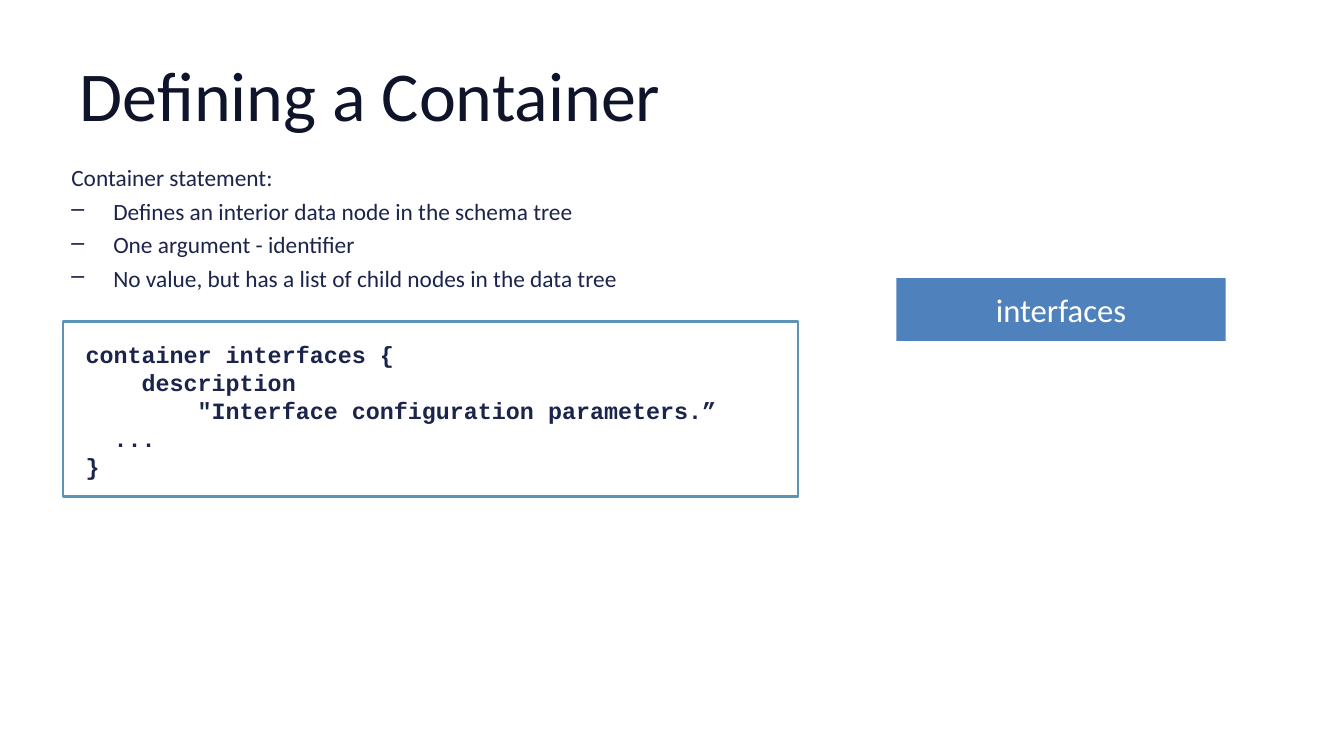
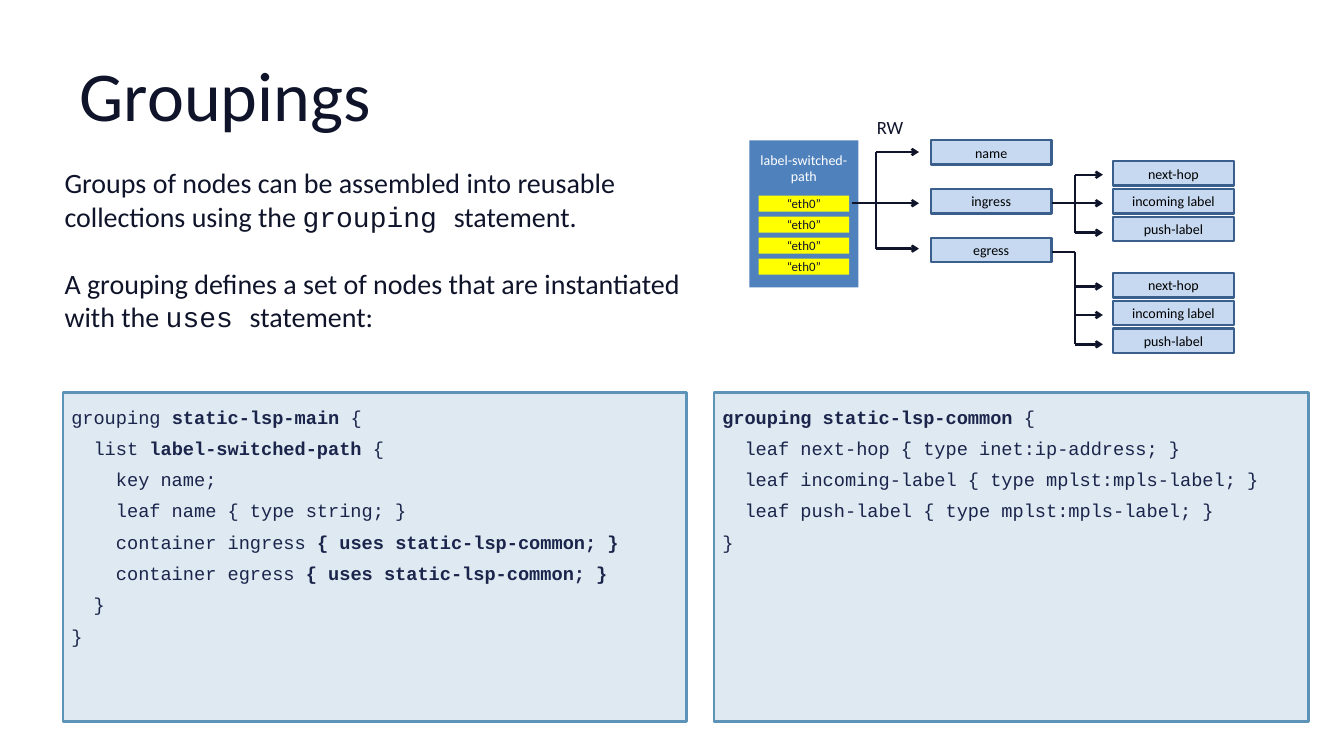
from lxml.etree import SubElement
from pptx import Presentation
from pptx.dml.color import RGBColor
from pptx.enum.shapes import MSO_CONNECTOR as Wire, MSO_SHAPE as Shape
from pptx.enum.text import MSO_ANCHOR as Anchor, MSO_AUTO_SIZE as Fit, PP_ALIGN as Align
from pptx.oxml.ns import qn
from pptx.util import Inches, Pt

hue = RGBColor.from_string
INK, NAVY, BLACK, WHITE = "0F142A", "1B244B", "000000", "FFFFFF"
BLUE, PALE, SKY, YELLOW = "4F81BD", "DEE9F1", "C6D9F1", "FFFF00"
FRAME, EDGE = "5C93B7", "3A5F8C"
SANS, MONO = "Calibri", "Courier New"


def box(slide, at, fill=None, line=None, width=2):
    """Add a rectangle, or a plain text box if it has neither fill nor line."""
    place = [Inches(n) for n in at]
    if not (fill or line):
        return slide.shapes.add_textbox(*place)
    rect = slide.shapes.add_shape(Shape.RECTANGLE, *place)
    rect.shadow.inherit = False
    if fill:
        rect.fill.solid()
        rect.fill.fore_color.rgb = hue(fill)
    else:
        rect.fill.background()
    if line:
        rect.line.color.rgb = hue(line)
        rect.line.width = Pt(width)
    else:
        rect.line.fill.background()
    return rect


def write(shape, lines, size, color, font=SANS, align=Align.LEFT,
          anchor=Anchor.TOP, lead=None, bold=False, mark=None):
    """Fill a shape with paragraphs; text between bars is bold or in the mark font."""
    frame = shape.text_frame
    frame.word_wrap = True
    frame.vertical_anchor = anchor
    for i, line in enumerate(lines):
        para = frame.add_paragraph() if i else frame.paragraphs[0]
        para.alignment = align
        para.line_spacing = lead
        for j, part in enumerate(line.split("|")):
            if part:
                run = para.add_run()
                run.text = part
                run.font.size = Pt(size)
                run.font.color.rgb = hue(color)
                run.font.name = mark if mark and j % 2 else font
                run.font.bold = bold or (j % 2 == 1 and not mark)
    return frame


deck = Presentation()
deck.slide_width, deck.slide_height = Inches(16), Inches(9)

# Both slides and their titles
slides = []
for name in ("Defining a Container", "Groupings"):
    slide = deck.slides.add_slide(deck.slide_layouts[5])
    title = slide.shapes.title
    title.left, title.top = Inches(0.8), Inches(0.36)
    title.width, title.height = Inches(14.4), Inches(1.5)
    frame = write(title, [name], 60, INK, anchor=Anchor.MIDDLE)
    frame.auto_size = Fit.NONE
    frame.margin_left = frame.margin_right = Inches(0.15)
    frame.margin_top = frame.margin_bottom = Inches(0.08)
    slides.append(slide)
first, second = slides

# Slide 1: container statement
body = write(box(first, (0.75, 1.83, 9.42, 1.71)), [
    "Container statement:",
    "Defines an interior data node in the schema tree",
    "One argument - identifier",
    "No value, but has a list of child nodes in the data tree",
], 20, NAVY, lead=1.2)
for para in body.paragraphs[1:]:
    props = para._p.get_or_add_pPr()
    props.set("marL", str(Inches(0.5)))
    props.set("indent", str(-Inches(0.5)))
    SubElement(props, qn("a:buChar"), char="–")

write(box(first, (0.92, 4, 8.25, 1.78)), [
    "container interfaces {",
    "    description",
    "        \"Interface configuration parameters.”",
    "  ...",
    "}",
], 20, NAVY, MONO, bold=True)
box(first, (0.75, 3.83, 8.75, 2.08), line=FRAME, width=2.25)
node = box(first, (10.67, 3.31, 3.92, 0.75), BLUE)
write(node, ["interfaces"], 28, WHITE, align=Align.CENTER, anchor=Anchor.MIDDLE)

# Slide 2: text and code
intro = write(box(second, (0.67, 1.92, 7.67, 2.52)), [
    "Groups of nodes can be assembled into reusable collections "
    "using the |grouping |statement.",
    "A grouping defines a set of nodes that are instantiated "
    "with the |uses |statement:",
], 24, INK, mark=MONO)
intro.paragraphs[1].space_before = Pt(28.8)

main = [
    "grouping |static-lsp-main |{",
    "  list |label-switched-path |{",
    "    key name;",
    "    leaf name { type string; }",
    "    container ingress |{ uses static-lsp-common; }|",
    "    container egress |{ uses static-lsp-common; }|",
    "  }",
    "}",
]
common = [
    "|grouping static-lsp-common |{",
    "  leaf next-hop { type inet:ip-address; }",
    "  leaf incoming-label { type mplst:mpls-label; }",
    "  leaf push-label { type mplst:mpls-label; }",
    "}",
]
for left, wide, code in ((0.75, 7.42, main), (8.5, 7.08, common)):
    panel = box(second, (left, 4.67, wide, 3.92), PALE, FRAME, 2.25)
    write(panel, code, 16, NAVY, MONO, lead=1.4)

# Slide 2: list with its entries
box(second, (8.92, 1.67, 1.3, 1.75), BLUE)
head = write(box(second, (8.93, 1.75, 1.28, 0.5)), ["label-switched-", "path"],
             12, WHITE, align=Align.CENTER)
mode = write(box(second, (10.34, 1.33, 0.52, 0.37)), ["RW"], 16, INK)
head.word_wrap = mode.word_wrap = False
for i in range(4):
    entry = box(second, (9.03, 2.33 + 0.25 * i, 1.08, 0.19), YELLOW)
    write(entry, ["“eth0”"], 11, INK, align=Align.CENTER, anchor=Anchor.MIDDLE)

# Slide 2: tree nodes in columns of equal steps
leaves = ["next-hop", "incoming label", "push-label"]
for left, top, step, names in (
    (11.08, 1.67, 0.58, ["name", "ingress", "egress"]),
    (13.25, 1.92, 0.33, leaves),
    (13.25, 3.25, 0.33, leaves),
):
    for i, name in enumerate(names):
        node = box(second, (left, top + step * i, 1.44, 0.29), SKY, EDGE)
        write(node, [name], 12, BLACK, align=Align.CENTER, anchor=Anchor.MIDDLE)

# Slide 2: each branch is a feed, a spine and three arrows
for start, spine, tip, feed, rows in (
    (10.14, 10.43, 10.94, 2.42, [1.81, 2.42, 2.96]),
    (12.52, 12.8, 13.13, 2.42, [2.08, 2.42, 2.77]),
    (12.52, 12.8, 13.13, 3, [3.41, 3.75, 4.1]),
):
    wires = [(start, feed, spine, feed),
             (spine, min(feed, *rows), spine, max(rows))]
    wires += [(spine, row, tip, row) for row in rows]
    for i, ends in enumerate(wires):
        wire = second.shapes.add_connector(Wire.STRAIGHT, *[Inches(n) for n in ends])
        wire.line.color.rgb = hue(INK)
        wire.line.width = Pt(2)
        if i > 1:
            SubElement(wire.line._get_or_add_ln(), qn("a:tailEnd"), type="arrow")
        SubElement(wire._element.spPr, qn("a:effectLst"))

deck.save("out.pptx")
